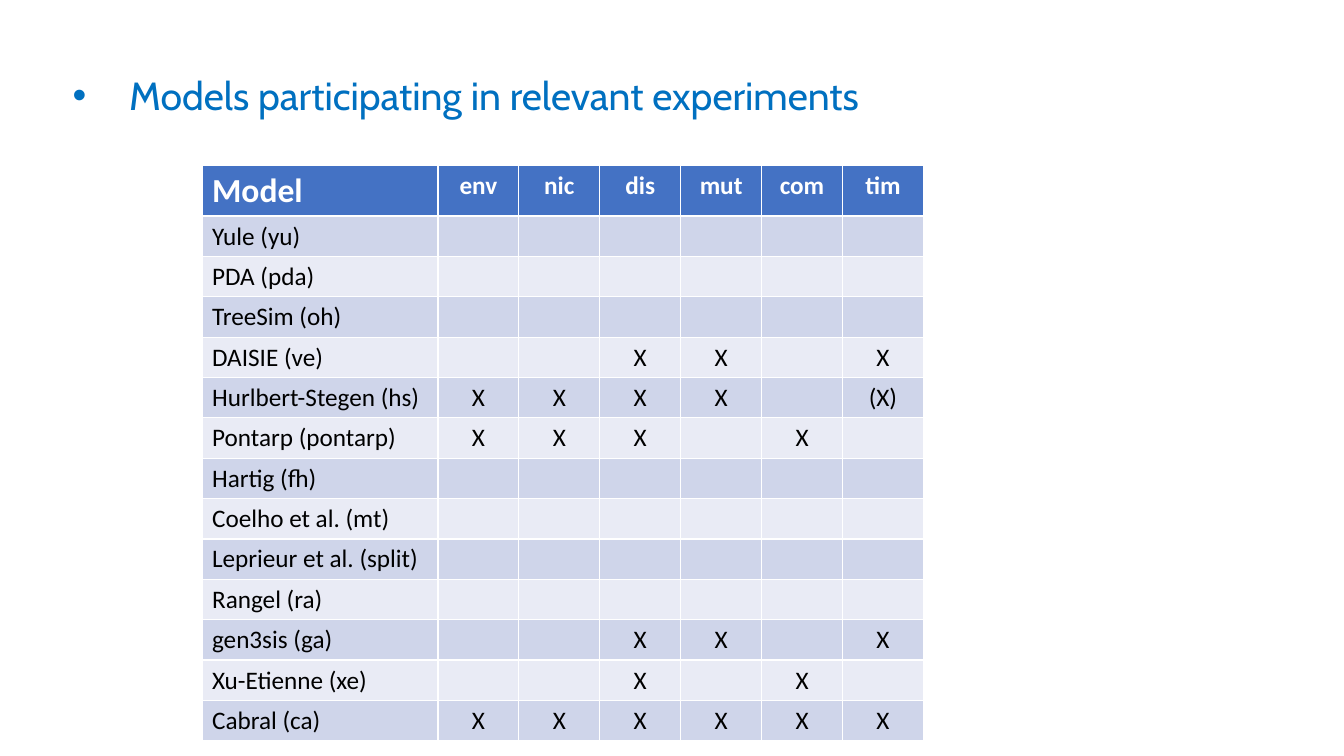
from dataclasses import dataclass

from lxml import etree
from pptx import Presentation
from pptx import util as u
from pptx.dml.color import RGBColor
from pptx.enum import text
from pptx.oxml import ns


@dataclass(frozen=True)
class Theme:
    title_font: str = "Cabin"
    table_font: str = "Calibri"
    title_color: str = "0070C0"
    header_fill: str = "4472C4"
    header_text: str = "FFFFFF"
    body_text: str = "000000"
    bands: tuple = ("CFD5EA", "E9EBF5")
    title_size: int = 28
    model_size: int = 24
    table_size: int = 18


EXPERIMENTS = ("env", "nic", "dis", "mut", "com", "tim")
MODELS = {
    "Yule (yu)": {},
    "PDA (pda)": {},
    "TreeSim (oh)": {},
    "DAISIE (ve)": {"dis": "X", "mut": "X", "tim": "X"},
    "Hurlbert-Stegen (hs)": {"env": "X", "nic": "X", "dis": "X", "mut": "X", "tim": "(X)"},
    "Pontarp (pontarp)": {"env": "X", "nic": "X", "dis": "X", "com": "X"},
    "Hartig (fh)": {},
    "Coelho et al. (mt)": {},
    "Leprieur et al. (split)": {},
    "Rangel (ra)": {},
    "gen3sis (ga)": {"dis": "X", "mut": "X", "tim": "X"},
    "Xu-Etienne (xe)": {"dis": "X", "com": "X"},
    "Cabral (ca)": dict.fromkeys(EXPERIMENTS, "X"),
}


def set_attributes(target, values):
    for name, value in values.items():
        setattr(target, name, value)


class SlideBuilder:
    def __init__(self, slide, theme):
        self.slide = slide
        self.theme = theme

    def format_font(self, font, color, **values):
        set_attributes(font, values)
        font.color.rgb = RGBColor.from_string(color)

    def title(self, wording, left, top, width, height, indent):
        shape = self.slide.shapes.title
        set_attributes(shape, {
            "left": u.Pt(left), "top": u.Pt(top),
            "width": u.Pt(width), "height": u.Pt(height),
        })
        set_attributes(shape.text_frame, {
            "text": wording,
            "word_wrap": True,
            "auto_size": text.MSO_AUTO_SIZE.SHAPE_TO_FIT_TEXT,
            "vertical_anchor": text.MSO_ANCHOR.TOP,
        })
        paragraph = shape.text_frame.paragraphs[0]
        paragraph.alignment = text.PP_ALIGN.LEFT
        properties = paragraph._p.get_or_add_pPr()
        properties.set("marL", str(u.Pt(indent)))
        properties.set("indent", str(-u.Pt(indent)))
        etree.SubElement(properties, ns.qn("a:buFont"), typeface="Arial")
        etree.SubElement(properties, ns.qn("a:buChar"), char="•")
        self.format_font(
            paragraph.runs[0].font, self.theme.title_color,
            name=self.theme.title_font, size=u.Pt(self.theme.title_size),
        )

    def table(self, rows, left, top, column_widths, row_heights):
        table = self.slide.shapes.add_table(
            len(rows), len(column_widths), u.Pt(left), u.Pt(top),
            u.Pt(sum(column_widths)), u.Pt(sum(row_heights)),
        ).table
        for column, width in zip(table.columns, column_widths):
            column.width = u.Pt(width)
        for row, height in zip(table.rows, row_heights):
            row.height = u.Pt(height)
        for row_index, row in enumerate(rows):
            for column_index, wording in enumerate(row):
                self.cell(table.cell(row_index, column_index), wording, row_index, column_index)

    def cell(self, cell, wording, row_index, column_index):
        theme = self.theme
        header = row_index == 0
        fill = theme.header_fill if header else theme.bands[(row_index - 1) % 2]
        cell.fill.solid()
        cell.fill.fore_color.rgb = RGBColor.from_string(fill)
        paragraph = cell.text_frame.paragraphs[0]
        if column_index:
            paragraph.alignment = text.PP_ALIGN.CENTER
        if wording:
            run = paragraph.add_run()
            run.text = wording
            size = theme.model_size if header and not column_index else theme.table_size
            self.format_font(
                run.font, theme.header_text if header else theme.body_text,
                name=theme.table_font, size=u.Pt(size), bold=header,
            )


def main():
    presentation = Presentation()
    set_attributes(presentation, {"slide_width": u.Pt(960), "slide_height": u.Pt(540)})
    slide = presentation.slides.add_slide(presentation.slide_layouts.get_by_name("Title Only"))
    builder = SlideBuilder(slide, Theme())
    builder.title("Models participating in relevant experiments", 44.6, 47.5, 895.7, 41, 40.5)
    rows = [("Model", *EXPERIMENTS)]
    for model, marks in MODELS.items():
        rows.append((model, *(marks.get(experiment, "") for experiment in EXPERIMENTS)))
    builder.table(
        rows, 144.3, 118.3,
        [168.5] + [57.8] * len(EXPERIMENTS),
        [36] + [28.8] * len(MODELS),
    )
    presentation.save("out.pptx")


if __name__ == "__main__":
    main()
